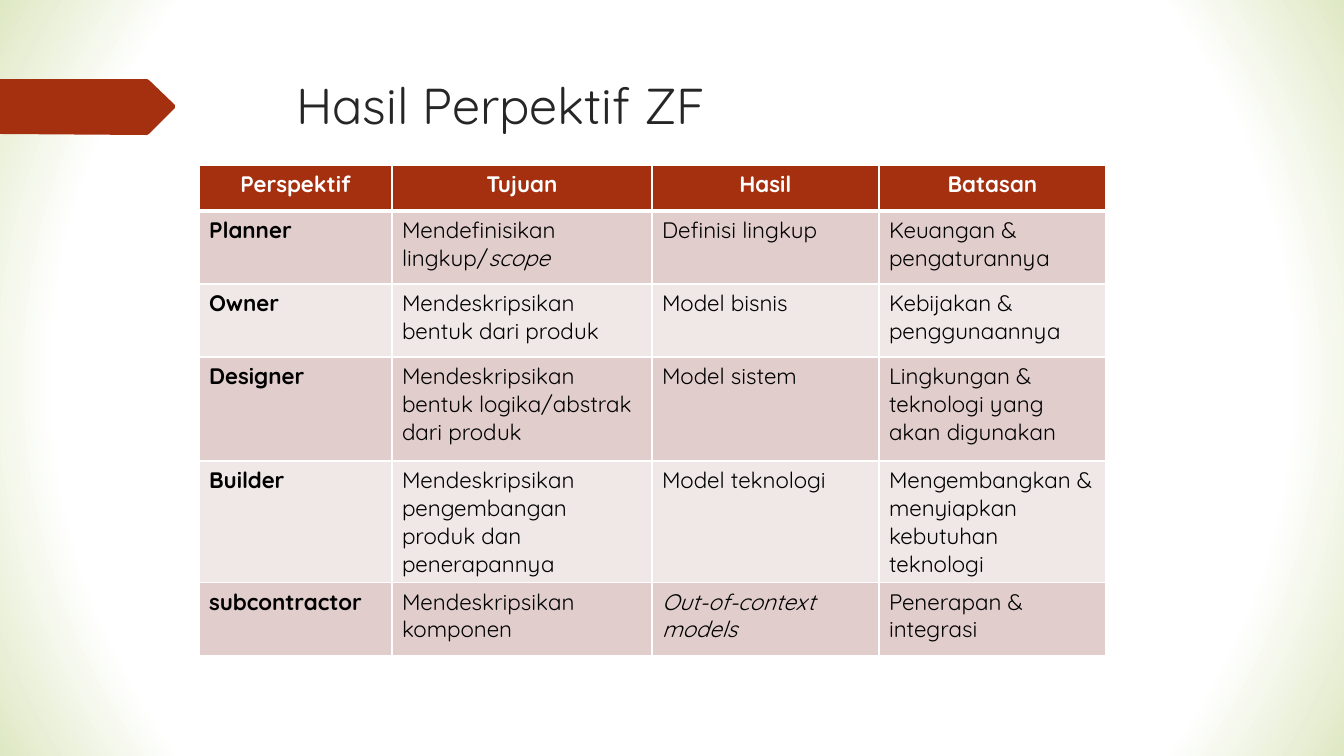
from lxml.etree import SubElement
from pptx import Presentation
from pptx.dml.color import RGBColor
from pptx.enum.text import MSO_ANCHOR, PP_ALIGN
from pptx.oxml.ns import qn
from pptx.util import Emu, Pt

TITLE = "Hasil Perpektif ZF"
HEADINGS = ["Perspektif", "Tujuan", "Hasil", "Batasan"]
# Words between asterisks are italic
PERSPECTIVES = [
    ("Planner", "Mendefinisikan lingkup/*scope*", "Definisi lingkup",
     "Keuangan & pengaturannya"),
    ("Owner", "Mendeskripsikan bentuk dari produk", "Model bisnis",
     "Kebijakan & penggunaannya"),
    ("Designer", "Mendeskripsikan bentuk logika/abstrak dari produk", "Model sistem",
     "Lingkungan & teknologi yang akan digunakan"),
    ("Builder", "Mendeskripsikan pengembangan produk dan penerapannya",
     "Model teknologi", "Mengembangkan & menyiapkan kebutuhan teknologi"),
    ("subcontractor", "Mendeskripsikan komponen", "*Out-of-context models*",
     "Penerapan & integrasi"),
]

# Lengths in px
SLIDE_SIZE = (1344, 756)
TITLE_BOX = (286, 69, 983, 141)
ARROW_OUTLINE = [(0, 79), (147, 79), (149, 80), (175, 105), (175, 108),
                 (149, 134), (147, 135), (0, 134)]
TABLE_CORNER = (199, 165)
COLUMN_WIDTHS = [193, 260, 227, 227]
ROW_HEIGHTS = [46, 73, 73, 104, 104, 73]

FONT = "Quicksand"
COLORS = {"accent": "A53010", "title": "262626", "body": "000000", "white": "FFFFFF",
          "dark band": "E1CDCC", "light band": "F0E8E7", "edge": "DFE8C4"}


def px(length):
    return Emu(length * 12192000 // 1344)


def color(name):
    return RGBColor.from_string(COLORS[name])


def paint(fill, name):
    fill.solid()
    fill.fore_color.rgb = color(name)


def set_font(font, size, name, bold=False):
    font.name, font.size, font.bold = FONT, Pt(size), bold
    font.color.rgb = color(name)


def set_borders(cell, bottom_width):
    properties = cell._tc.get_or_add_tcPr()
    widths = {"a:lnL": 1, "a:lnR": 1, "a:lnT": 1, "a:lnB": bottom_width}
    for position, (side, width) in enumerate(widths.items()):
        line = SubElement(properties, qn(side), w=str(Pt(width)))
        solid = SubElement(line, qn("a:solidFill"))
        SubElement(solid, qn("a:srgbClr"), val=COLORS["white"])
        properties.insert(position, line)


def main():
    deck = Presentation()
    deck.slide_width, deck.slide_height = map(px, SLIDE_SIZE)
    slide = deck.slides.add_slide(deck.slide_layouts[5])

    # Background: white centre fading to green at the edges
    backdrop = slide.background.fill
    backdrop.gradient()
    for stop, position, name in zip(backdrop.gradient_stops, (0.8, 1), ("white", "edge")):
        stop.position = position
        stop.color.rgb = color(name)
    linear = slide.element.find(".//" + qn("a:lin"))
    gradient = linear.getparent()
    gradient.remove(linear)
    circle = SubElement(gradient, qn("a:path"), path="circle")
    SubElement(circle, qn("a:fillToRect"), l="50000", t="50000", r="50000", b="50000")

    # Arrow at the left edge
    outline = [(px(x), px(y)) for x, y in ARROW_OUTLINE]
    builder = slide.shapes.build_freeform(*outline[0])
    builder.add_line_segments(outline[1:], close=True)
    arrow = builder.convert_to_shape()
    arrow.shadow.inherit = False
    paint(arrow.fill, "accent")
    arrow.line.fill.background()

    # Title
    title = slide.shapes.title
    title.left, title.top, title.width, title.height = map(px, TITLE_BOX)
    title.text_frame.text = TITLE
    title.text_frame.vertical_anchor = MSO_ANCHOR.TOP
    heading = title.text_frame.paragraphs[0]
    heading.alignment = PP_ALIGN.LEFT
    set_font(heading.font, 36, "title")

    # Table of perspectives
    rows = [HEADINGS, *PERSPECTIVES]
    size = (sum(COLUMN_WIDTHS), sum(ROW_HEIGHTS))
    table = slide.shapes.add_table(len(rows), len(HEADINGS),
                                   *map(px, TABLE_CORNER + size)).table
    for column, width in zip(table.columns, COLUMN_WIDTHS):
        column.width = px(width)
    for row, height in zip(table.rows, ROW_HEIGHTS):
        row.height = px(height)

    for r, texts in enumerate(rows):
        is_header = r == 0
        band = "accent" if is_header else "dark band" if r % 2 else "light band"
        for c, text in enumerate(texts):
            cell = table.cell(r, c)
            paint(cell.fill, band)
            set_borders(cell, 3 if is_header else 1)
            paragraph = cell.text_frame.paragraphs[0]
            paragraph.alignment = PP_ALIGN.CENTER if is_header else PP_ALIGN.LEFT
            set_font(paragraph.font, 16, "white" if is_header else "body",
                     bold=is_header or c == 0)
            for part, words in enumerate(text.split("*")):
                if words:
                    run = paragraph.add_run()
                    run.text = words
                    if part % 2:
                        run.font.italic = True

    deck.save("out.pptx")


if __name__ == "__main__":
    main()
